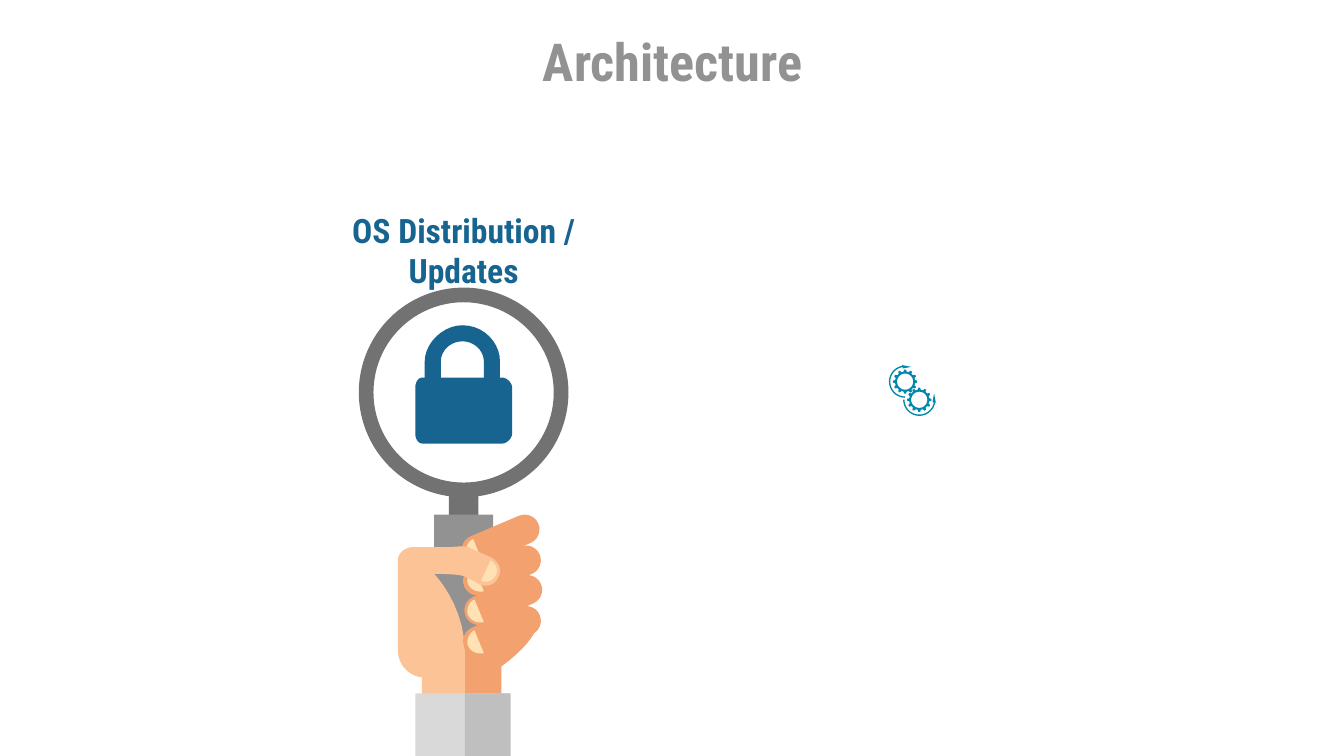
from math import cos, radians, sin

from pptx import Presentation
from pptx.dml.color import RGBColor
from pptx.enum.shapes import MSO_SHAPE
from pptx.enum.text import MSO_ANCHOR, PP_ALIGN
from pptx.util import Inches, Pt

RECTANGLE = MSO_SHAPE.RECTANGLE
CAPSULE = MSO_SHAPE.ROUNDED_RECTANGLE
RING = MSO_SHAPE.DONUT
MIDDLE, TOP = MSO_ANCHOR.MIDDLE, MSO_ANCHOR.TOP

FONT = "Roboto Condensed"
GREY, DARK_GREY = "929292", "727272"
BLUE, TEAL = "176490", "0187AC"
SKIN, LIGHT_SKIN, NAIL = "F2A16F", "FCC397", "FFE1B4"
SLEEVE, SLEEVE_SHADE = "D9D9D9", "BFBFBF"

# Grid of square cells, 100 to the inch
COLUMNS, ROWS = 1000, 562.5
CURVE_STEPS = 10


def cells(count):
    return Inches(count / 100)


def paint(shape, color):
    shape.shadow.inherit = False
    shape.fill.solid()
    shape.fill.fore_color.rgb = RGBColor.from_string(color)
    shape.line.fill.background()


def add_preset(shapes, kind, left, top, width, height, color):
    shape = shapes.add_shape(kind, *map(cells, (left, top, width, height)))
    paint(shape, color)
    return shape


def add_text(slide, text, left, top, width, height, size, color, anchor):
    box = slide.shapes.add_textbox(*map(cells, (left, top, width, height)))
    frame = box.text_frame
    frame.text = text
    frame.word_wrap = True
    frame.vertical_anchor = anchor
    frame.margin_left = frame.margin_right = 0
    frame.margin_top = frame.margin_bottom = 0
    paragraph = frame.paragraphs[0]
    paragraph.alignment = PP_ALIGN.CENTER
    font = paragraph.runs[0].font
    font.name, font.size, font.bold = FONT, Pt(size), True
    font.color.rgb = RGBColor.from_string(color)


def trace(*steps):
    """Points of an outline; a step is a point (x, y) or a cubic curve of three points."""
    points = []
    for step in steps:
        if len(step) == 2:
            points.append(step)
            continue
        controls = [points[-1], step[:2], step[2:4], step[4:]]
        for index in range(1, CURVE_STEPS + 1):
            t = index / CURVE_STEPS
            weights = ((1 - t) ** 3, 3 * t * (1 - t) ** 2, 3 * t * t * (1 - t), t ** 3)
            points.append(tuple(sum(weight * control[axis] for weight, control in zip(weights, controls))
                                for axis in (0, 1)))
    return points


def polar(center, radius, angle):
    x, y = center
    return x + radius * cos(radians(angle)), y + radius * sin(radians(angle))


def arc(center, radius, start, end, steps=36):
    return [polar(center, radius, start + (end - start) * index / steps)
            for index in range(steps + 1)]


def add_outline(shapes, color, *contours):
    """Fill closed contours; a contour inside another one is a hole."""
    contours = [[(cells(x), cells(y)) for x, y in contour] for contour in contours]
    builder = shapes.build_freeform(*contours[0][0], scale=1.0)
    builder.add_line_segments(contours[0][1:], close=True)
    for contour in contours[1:]:
        builder.move_to(*contour[0])
        builder.add_line_segments(contour[1:], close=True)
    paint(builder.convert_to_shape(), color)


def add_finger(shapes, left, top, nail_left, nail_top):
    length, thickness = 61, 22
    finger = add_preset(shapes, CAPSULE, left + 29.5 - length / 2, top + 19.5 - thickness / 2,
                        length, thickness, SKIN)
    finger.adjustments[0] = 0.5
    finger.rotation = -23
    nail = trace((1, 11), (0, 7, 2, 2, 6, 0), (13, 17), (8, 18, 3, 16, 1, 11))
    add_outline(shapes, NAIL, [(nail_left + x, nail_top + y) for x, y in nail])


def add_gear(shapes, center, teeth=12):
    pitch = 360 / teeth
    profile = ((-0.3, 7.5), (-0.15, 9), (0.15, 9), (0.3, 7.5))
    rim = [polar(center, radius, (tooth + share) * pitch - 90)
           for tooth in range(teeth) for share, radius in profile]
    add_outline(shapes, TEAL, rim, arc(center, 6, 0, 360))


def add_curved_arrow(shapes, center, start, end):
    turn = 33 if end > start else -33
    head = [polar(center, 12.5, end), polar(center, 12, end + turn), polar(center, 10, end)]
    add_outline(shapes, TEAL, arc(center, 12, start, end) + head + arc(center, 11, end, start))


def add_magnifier(slide):
    shapes = slide.shapes.add_group_shape().shapes
    add_preset(shapes, RECTANGLE, 334, 364, 22, 22, DARK_GREY)
    add_preset(shapes, RECTANGLE, 323, 383, 44, 94, GREY)
    ring = add_preset(shapes, RING, 267, 214, 156, 156, DARK_GREY)
    ring.adjustments[0] = 0.07


def add_hand(slide):
    shapes = slide.shapes.add_group_shape().shapes
    # Wrist and upper fingers, behind the thumb
    add_outline(shapes, SKIN, trace(
        (399, 468), (399, 468, 395, 480, 373, 496), (373, 518), (344, 518), (344, 481)))
    add_finger(shapes, 343, 382, 346, 401)
    add_finger(shapes, 344, 405, 347, 423)
    # Palm and thumb
    add_outline(shapes, LIGHT_SKIN, trace(
        (366, 415), (348, 407), (345, 406, 337, 407, 336, 407), (308, 407),
        (302, 407, 296, 411, 296, 417), (296, 484), (296, 494, 304, 503, 314, 504),
        (314, 518), (346, 518), (346, 486), (346, 450, 323, 427, 323, 427),
        (323, 427, 337, 427, 342, 428), (346, 428, 357, 435, 357, 435),
        (363, 437, 369, 435, 371, 429), (374, 424, 371, 418, 366, 415)))
    add_outline(shapes, NAIL, trace(
        (369, 428), (367, 432, 362, 434, 358, 432), (365, 417), (369, 419, 371, 424, 369, 428)))
    # Sleeve
    add_preset(shapes, RECTANGLE, 309, 516, 70, ROWS - 516, SLEEVE)
    add_preset(shapes, RECTANGLE, 346, 516, 34, ROWS - 516, SLEEVE_SHADE)
    # Lower fingers
    add_finger(shapes, 345, 427, 347, 446)
    add_finger(shapes, 344, 450, 347, 469)


def add_padlock(slide):
    body = trace(
        (381, 323), (381, 326, 377, 330, 374, 330), (314, 330), (311, 330, 309, 326, 309, 323),
        (309, 288), (309, 285, 311, 281, 314, 281), (316, 281), (316, 269),
        (316, 255, 330, 242, 344, 242), (360, 242, 372, 255, 372, 269), (372, 281), (374, 281),
        (377, 281, 381, 285, 381, 288))
    opening = trace((360, 281), (360, 269), (360, 261, 353, 254, 344, 254),
                    (335, 254, 328, 261, 328, 269), (328, 281))
    add_outline(slide.shapes, BLUE, body, opening)


def add_gears(slide):
    shapes = slide.shapes.add_group_shape().shapes
    upper, lower = (673.5, 284), (684, 297.5)
    add_gear(shapes, upper)
    add_gear(shapes, lower)
    add_curved_arrow(shapes, lower, 180, 10)
    add_curved_arrow(shapes, upper, 90, 260)


def main():
    presentation = Presentation()
    presentation.slide_width, presentation.slide_height = cells(COLUMNS), cells(ROWS)
    slide = presentation.slides.add_slide(presentation.slide_layouts[6])
    add_text(slide, "Architecture", 240, 22, 521, 46, 28, GREY, MIDDLE)
    add_magnifier(slide)
    add_hand(slide)
    add_text(slide, "OS Distribution / Updates", 221, 156, 248, 30, 18, BLUE, TOP)
    add_padlock(slide)
    add_gears(slide)
    presentation.save("out.pptx")


if __name__ == "__main__":
    main()
